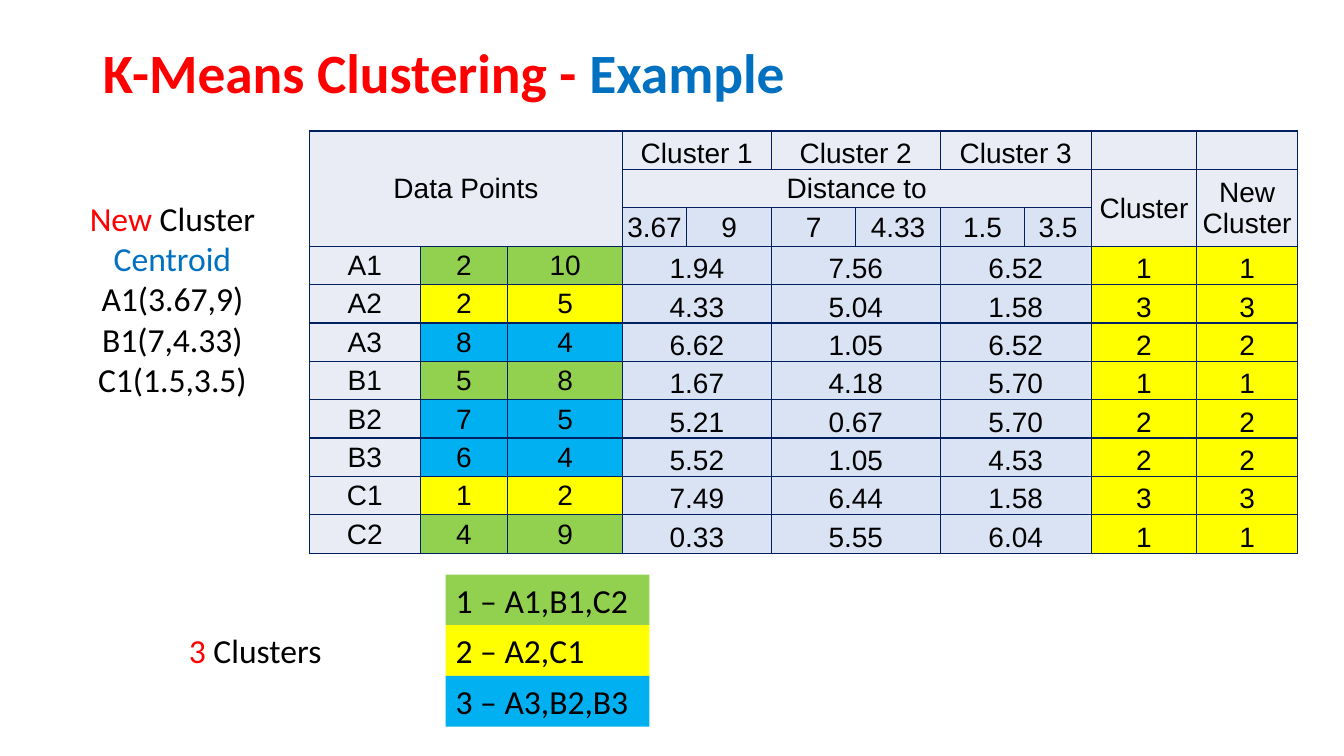
from lxml.etree import SubElement
from pptx import Presentation
from pptx.dml.color import RGBColor
from pptx.enum.shapes import MSO_SHAPE
from pptx.enum.text import MSO_ANCHOR as Anchor, PP_ALIGN as Align
from pptx.oxml.ns import qn
from pptx.util import Inches, Pt

BLACK, RED, BLUE, NAVY = "000000", "FF0000", "0070C0", "002060"
GREEN, YELLOW, SKY = "92D050", "FFFF00", "00B0F0"
HEADER_FILL, DISTANCE_FILL = "E9EBF5", "DAE3F3"
CLUSTER_FILLS = {"1": GREEN, "2": SKY, "3": YELLOW}

COLUMN_WIDTHS = [1.1, 0.87, 1.14, 0.64, 0.84, 0.84, 0.84, 0.84, 0.66, 1.05, 1]
CENTROIDS = ["3.67", "9", "7", "4.33", "1.5", "3.5"]
# Point, x, y, distances to the three centroids, cluster
POINTS = [
    ("A1", "2", "10", "1.94", "7.56", "6.52", "1"),
    ("A2", "2", "5", "4.33", "5.04", "1.58", "3"),
    ("A3", "8", "4", "6.62", "1.05", "6.52", "2"),
    ("B1", "5", "8", "1.67", "4.18", "5.70", "1"),
    ("B2", "7", "5", "5.21", "0.67", "5.70", "2"),
    ("B3", "6", "4", "5.52", "1.05", "4.53", "2"),
    ("C1", "1", "2", "7.49", "6.44", "1.58", "3"),
    ("C2", "4", "9", "0.33", "5.55", "6.04", "1"),
]
HEADER_ROWS = 3
DISTANCE_COLUMNS = [3, 5, 7]


def rgb(color):
    return RGBColor.from_string(color)


def add_runs(paragraph, runs, size, font="Calibri", bold=False, align=Align.LEFT):
    """Append (text, color) pairs to a paragraph."""
    paragraph.alignment = align
    for text, color in runs:
        run = paragraph.add_run()
        run.text = text
        run.font.size = Pt(size)
        run.font.name = font
        run.font.bold = bold
        run.font.color.rgb = rgb(color)


def add_title(slide, left, top, width, height):
    title = slide.shapes.title
    title.left, title.top = Inches(left), Inches(top)
    title.width, title.height = Inches(width), Inches(height)
    title.text_frame.vertical_anchor = Anchor.MIDDLE
    paragraph = title.text_frame.paragraphs[0]
    paragraph.line_spacing = 0.9
    add_runs(paragraph, [("K-Means Clustering - ", RED), ("Example", BLUE)],
             39.6, bold=True)


def add_label(slide, left, top, width, height, lines):
    label = slide.shapes.add_textbox(Inches(left), Inches(top),
                                     Inches(width), Inches(height))
    frame = label.text_frame
    frame.word_wrap = True
    for index, runs in enumerate(lines):
        paragraph = frame.add_paragraph() if index else frame.paragraphs[0]
        add_runs(paragraph, runs, 24, align=Align.CENTER)


def set_borders(cell):
    properties = cell._tc.get_or_add_tcPr()
    for side in ("a:lnL", "a:lnR", "a:lnT", "a:lnB"):
        line = SubElement(properties, qn(side), w=str(Pt(1)))
        fill = SubElement(line, qn("a:solidFill"))
        SubElement(fill, qn("a:srgbClr"), val=NAVY)


def fill_cell(table, row, column, text, fill, rows=1, columns=1, anchor=Anchor.MIDDLE):
    cell = table.cell(row, column)
    if rows * columns > 1:
        cell.merge(table.cell(row + rows - 1, column + columns - 1))
    cell.fill.solid()
    cell.fill.fore_color.rgb = rgb(fill)
    cell.vertical_anchor = anchor
    if text:
        add_runs(cell.text_frame.paragraphs[0], [(text, BLACK)], 20, "Arial",
                 align=Align.CENTER)


def fill_header(table):
    fill_cell(table, 0, 0, "Data Points", HEADER_FILL, rows=HEADER_ROWS, columns=3)
    for number, column in enumerate(DISTANCE_COLUMNS, 1):
        fill_cell(table, 0, column, f"Cluster {number}", HEADER_FILL,
                  columns=2, anchor=Anchor.BOTTOM)
    fill_cell(table, 1, 3, "Distance to", HEADER_FILL, columns=6)
    for column, value in enumerate(CENTROIDS, 3):
        fill_cell(table, 2, column, value, DISTANCE_FILL)
    for column, text in ((9, "Cluster"), (10, "New Cluster")):
        fill_cell(table, 0, column, "", HEADER_FILL)
        fill_cell(table, 1, column, text, HEADER_FILL, rows=2)


def fill_point(table, row, point):
    name, x, y, *distances, cluster = point
    fill_cell(table, row, 0, name, HEADER_FILL)
    for column, value in ((1, x), (2, y)):
        fill_cell(table, row, column, value, CLUSTER_FILLS[cluster])
    for column, distance in zip(DISTANCE_COLUMNS, distances):
        fill_cell(table, row, column, distance, DISTANCE_FILL,
                  columns=2, anchor=Anchor.BOTTOM)
    for column in (9, 10):
        fill_cell(table, row, column, cluster, YELLOW, anchor=Anchor.BOTTOM)


def add_distance_table(slide, left, top, width, height):
    row_count = HEADER_ROWS + len(POINTS)
    table = slide.shapes.add_table(row_count, len(COLUMN_WIDTHS), Inches(left),
                                   Inches(top), Inches(width), Inches(height)).table
    table.first_row = table.horz_banding = False
    for column, share in zip(table.columns, COLUMN_WIDTHS):
        column.width = Inches(width * share / sum(COLUMN_WIDTHS))
    for cell in table.iter_cells():
        cell.margin_left = cell.margin_right = cell.margin_top = Inches(0.01)
        cell.margin_bottom = 0
        set_borders(cell)
    fill_header(table)
    for row, point in enumerate(POINTS, HEADER_ROWS):
        fill_point(table, row, point)


def add_cluster_legend(slide, left, top, width, height):
    entries = [("1 – A1,B1,C2", GREEN), ("2 – A2,C1", YELLOW), ("3 – A3,B2,B3", SKY)]
    step = height / len(entries)
    for index, (text, color) in enumerate(entries):
        bar = slide.shapes.add_shape(MSO_SHAPE.RECTANGLE, Inches(left),
                                     Inches(top + index * step),
                                     Inches(width), Inches(step))
        bar.shadow.inherit = False
        bar.fill.solid()
        bar.fill.fore_color.rgb = rgb(color)
        bar.line.fill.background()
        bar.text_frame.word_wrap = True
        bar.text_frame.vertical_anchor = Anchor.TOP
        add_runs(bar.text_frame.paragraphs[0], [(text, BLACK)], 24)


def main():
    presentation = Presentation()
    presentation.slide_width = Inches(13.33)
    presentation.slide_height = Inches(7.5)
    slide = presentation.slides.add_slide(presentation.slide_layouts[5])
    add_title(slide, 0.92, 0.4, 11.5, 0.7)
    add_distance_table(slide, 3.07, 1.3, 9.8, 4.19)
    add_label(slide, 0.7, 1.91, 2.02, 2.52, [
        [("New", RED), (" Cluster ", BLACK), ("Centroid", BLUE)],
        [("A1(3.67,9)", BLACK)],
        [("B1(7,4.33)", BLACK)],
        [("C1(1.5,3.5)", BLACK)],
    ])
    add_label(slide, 1.52, 6.2, 2.02, 0.5, [[("3", RED), (" Clusters", BLACK)]])
    add_cluster_legend(slide, 4.42, 5.7, 2.02, 1.51)
    presentation.save("out.pptx")


if __name__ == "__main__":
    main()
